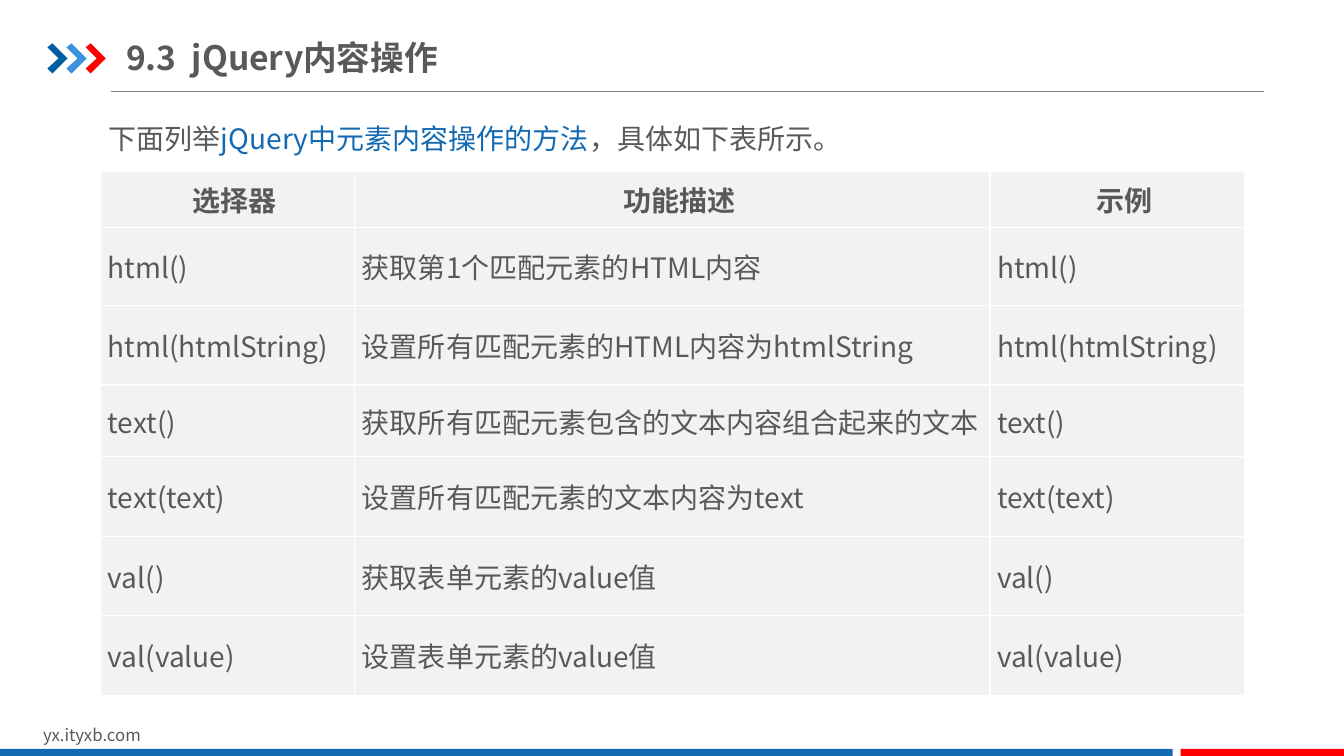
import pptx
import pptx.util
import pptx.dml.color
import pptx.enum.shapes
import pptx.enum.text
import pptx.oxml
import pptx.oxml.ns
from pptx.util import Inches

FONT = "Noto Sans CJK SC"
GREY, BLUE, RED, PALE, WHITE = "595959", "1369B2", "FF0000", "F2F2F2", "FFFFFF"
ALIGN = pptx.enum.text.PP_ALIGN
MIDDLE = pptx.enum.text.MSO_ANCHOR.MIDDLE


def color(code):
    return pptx.dml.color.RGBColor.from_string(code)


def node(xml):
    head, tail = xml.split(" ", 1)
    return pptx.oxml.parse_xml(f"{head} {pptx.oxml.ns.nsdecls('a')} {tail}")


class Deck:
    def __init__(self):
        self.file = pptx.Presentation()
        self.file.slide_width = Inches(13.33)
        self.file.slide_height = Inches(7.5)
        self.slide = self.file.slides.add_slide(self.file.slide_layouts[5])
        self.shapes = self.slide.shapes

    def style(self, para, size, bold=False, align=ALIGN.LEFT):
        para.alignment = align
        font = para.font
        font.size = pptx.util.Pt(size)
        font.bold = bold
        font.name = FONT
        font.color.rgb = color(GREY)
        props = para._p.pPr.find(pptx.oxml.ns.qn("a:defRPr"))
        props.append(node(f'<a:ea typeface="{FONT}"/>'))

    def paint(self, shape, fill):
        shape.shadow.inherit = False
        shape.fill.solid()
        shape.fill.fore_color.rgb = color(fill)
        shape.line.fill.background()

    def title(self, text, left, top, width, height):
        shape = self.shapes.title
        shape.left, shape.top = Inches(left), Inches(top)
        shape.width, shape.height = Inches(width), Inches(height)
        frame = shape.text_frame
        frame.auto_size = pptx.enum.text.MSO_AUTO_SIZE.NONE
        frame.vertical_anchor = MIDDLE
        frame.margin_left = frame.margin_right = 0
        frame.margin_top = frame.margin_bottom = Inches(0.07)
        frame.text = text
        self.style(frame.paragraphs[0], 24, True)

    def text(self, runs, left, top, width, height, size):
        box = self.shapes.add_textbox(
            Inches(left), Inches(top), Inches(width), Inches(height))
        box.text_frame.word_wrap = True
        para = box.text_frame.paragraphs[0]
        for words, tint in runs:
            run = para.add_run()
            run.text = words
            if tint != GREY:
                run.font.color.rgb = color(tint)
        self.style(para, size)
        return para

    def rule(self, left, right, top, tint):
        line = self.shapes.add_connector(
            pptx.enum.shapes.MSO_CONNECTOR.STRAIGHT,
            Inches(left), Inches(top), Inches(right), Inches(top))
        line.line.color.rgb = color(tint)
        line.line.width = pptx.util.Pt(0.75)
        line._element.spPr.append(node("<a:effectLst />"))

    def bar(self, left, top, width, height, fill):
        shape = self.shapes.add_shape(
            pptx.enum.shapes.MSO_SHAPE.RECTANGLE,
            Inches(left), Inches(top), Inches(width), Inches(height))
        self.paint(shape, fill)

    def arrow(self, left, top, fill):
        turns = [(0.05, 0), (0.2, 0.15), (0.05, 0.3), (0, 0.25), (0.11, 0.15)]
        build = self.shapes.build_freeform(
            Inches(left), Inches(top + 0.04), scale=1.0)
        build.add_line_segments(
            [(Inches(left + x), Inches(top + y)) for x, y in turns], close=True)
        self.paint(build.convert_to_shape(), fill)

    def cell(self, cell, text, head):
        cell.text = text
        cell.vertical_anchor = MIDDLE
        cell.margin_left = cell.margin_right = Inches(0.07)
        cell.margin_top = cell.margin_bottom = 0
        para = cell.text_frame.paragraphs[0]
        self.style(para, 20, head, ALIGN.CENTER if head else ALIGN.LEFT)
        if head:
            para._p.pPr.set("indent", str(Inches(0.14)))
        props = cell._tc.get_or_add_tcPr()
        for side in "LRTB":
            props.append(node(
                f'<a:ln{side} w="12700"><a:solidFill>'
                f'<a:srgbClr val="{WHITE}"/></a:solidFill></a:ln{side}>'))
        cell.fill.solid()
        cell.fill.fore_color.rgb = color(PALE)

    def table(self, rows, left, top, widths, heights):
        table = self.shapes.add_table(
            len(rows), len(widths), Inches(left), Inches(top),
            Inches(sum(widths)), Inches(sum(heights))).table
        table.first_row = table.horz_banding = False
        for column, width in zip(table.columns, widths):
            column.width = Inches(width)
        for i, (row, height) in enumerate(zip(rows, heights)):
            table.rows[i].height = Inches(height)
            for j, text in enumerate(row):
                self.cell(table.cell(i, j), text, i == 0)


def main():
    deck = Deck()
    deck.rule(1.1, 12.54, 0.91, "808080")
    for i, fill in enumerate(["005DA2", "3992DB", RED]):
        deck.arrow(0.47 + 0.19 * i, 0.43, fill)
    deck.text([("yx.ityxb.com", GREY)], 0.33, 7.14, 3.18, 0.3, 12)
    deck.bar(0, 7.43, 11.63, 0.09, BLUE)
    deck.bar(11.71, 7.43, 1.63, 0.09, RED)
    deck.title("9.3  jQuery内容操作", 1.25, 0.29, 4.26, 0.55)

    intro = deck.text(
        [("下面列举", GREY), ("jQuery中元素内容操作的方法", BLUE),
         ("，具体如下表所示。", GREY)], 0.68, 0.99, 8.66, 0.61, 20)
    intro.alignment = ALIGN.JUSTIFY
    intro.line_spacing = 1.5
    intro._p.pPr.set("marL", str(Inches(0.3)))

    calls = [
        ("html()", "获取第1个匹配元素的HTML内容"),
        ("html(htmlString)", "设置所有匹配元素的HTML内容为htmlString"),
        ("text()", "获取所有匹配元素包含的文本内容组合起来的文本"),
        ("text(text)", "设置所有匹配元素的文本内容为text"),
        ("val()", "获取表单元素的value值"),
        ("val(value)", "设置表单元素的value值"),
    ]
    rows = [("选择器", "功能描述", "示例")]
    rows += [(call, note, call) for call, note in calls]
    deck.table(rows, 1, 1.7, [2.52, 6.3, 2.52],
               [0.56, 0.77, 0.79, 0.71, 0.79, 0.79, 0.79])
    deck.file.save("out.pptx")


if __name__ == "__main__":
    main()
